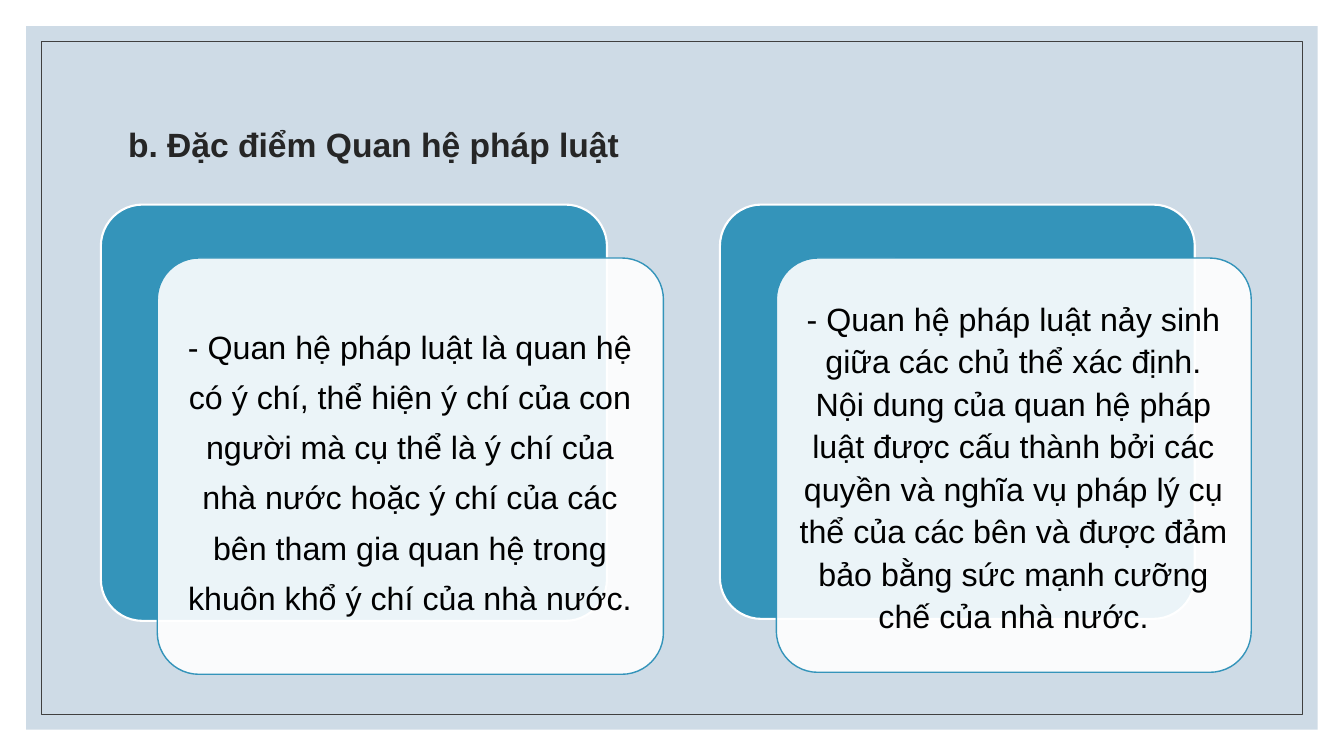
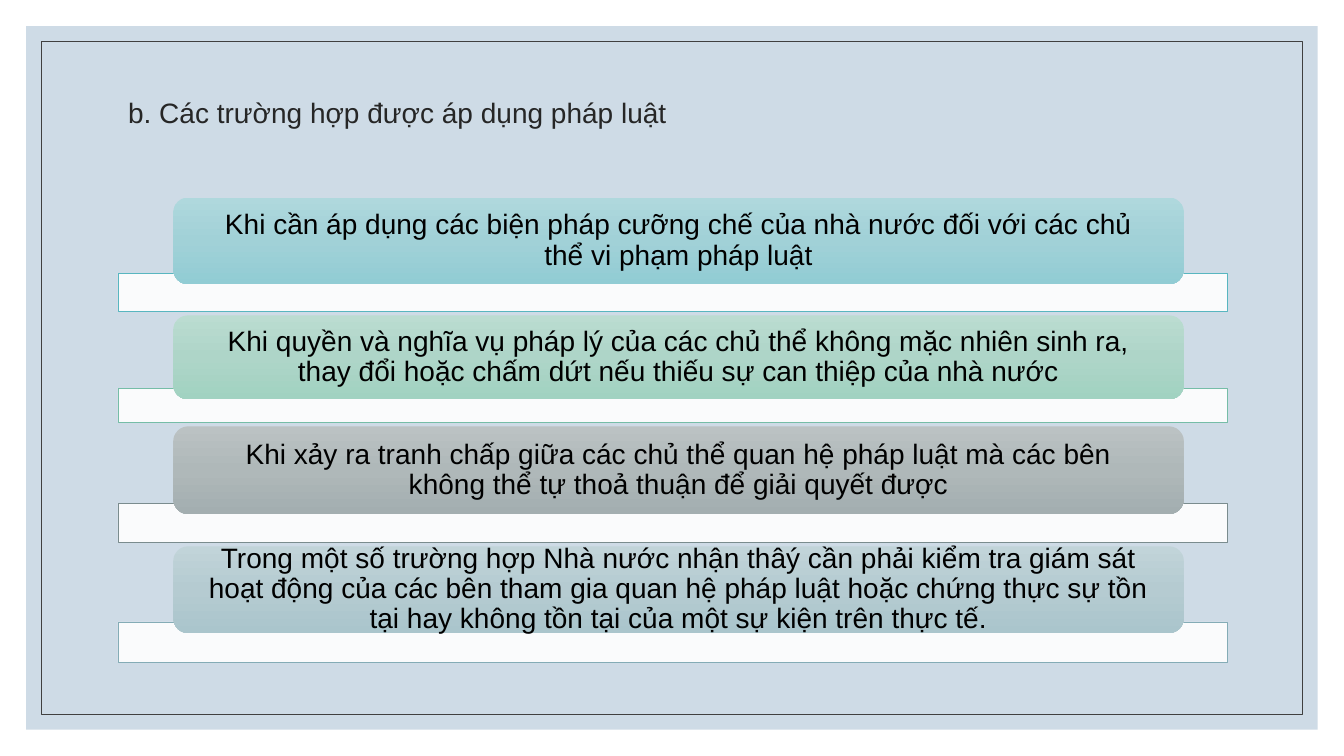
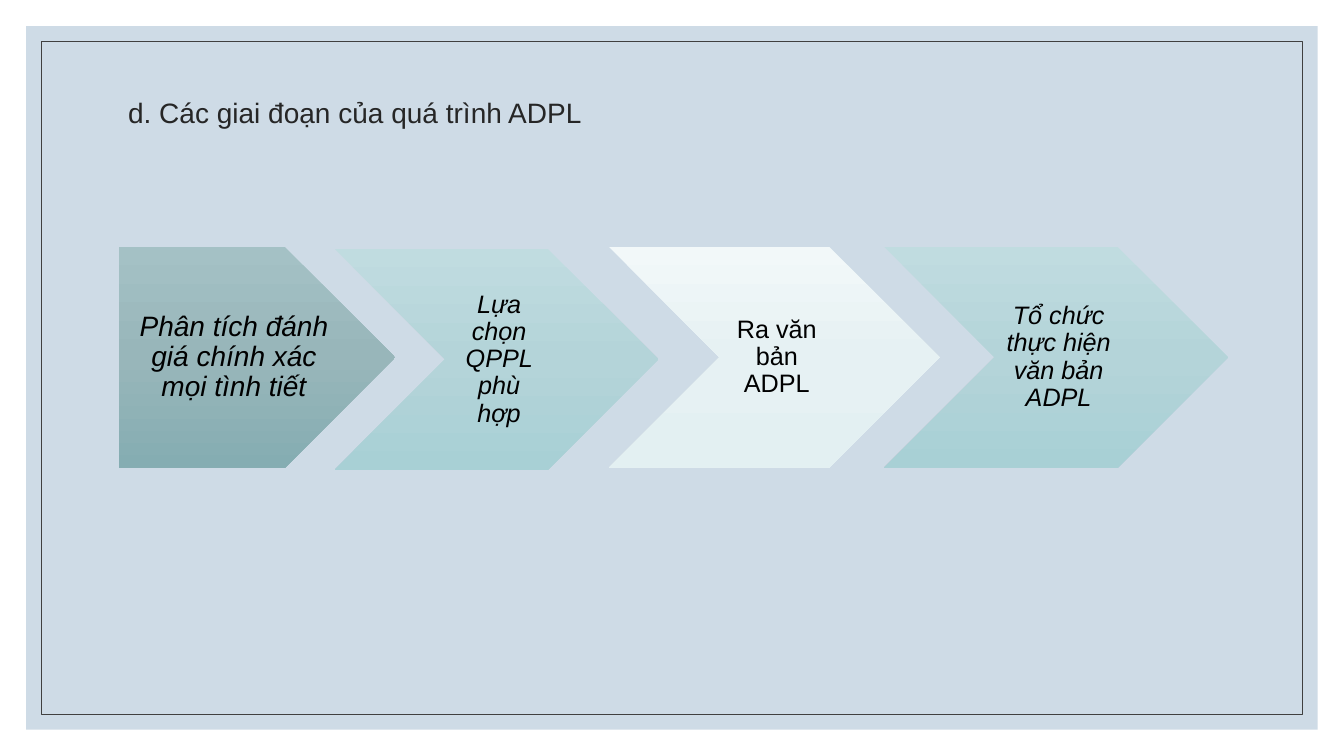
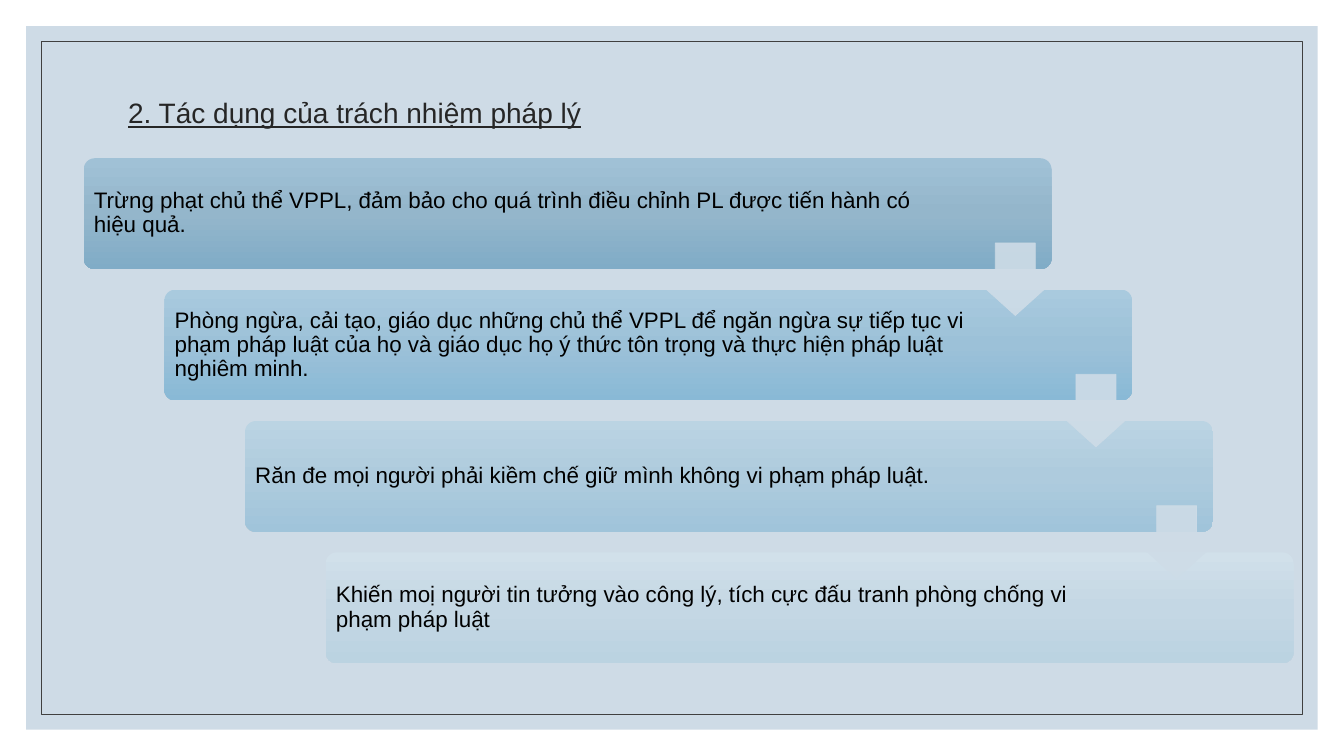
from copy import deepcopy
from dataclasses import dataclass

from lxml import etree
from pptx import Presentation
from pptx import util as u
from pptx.dml.color import RGBColor
from pptx.enum import shapes, text
from pptx.oxml.ns import qn

KIND = shapes.MSO_SHAPE
ALIGN = text.PP_ALIGN


@dataclass(frozen=True)
class Theme:
    font: str = "Arial"
    panel: str = "CEDBE6"
    frame: str = "404040"
    heading: str = "262626"
    ink: str = "000000"
    white: str = "FFFFFF"
    accent: str = "3494BA"
    arrow: str = "CEDCE7"
    opacity: int = 90
    heading_large: int = 24
    heading_size: int = 20
    card_size: int = 23
    label_size: int = 20
    step_size: int = 18
    stair_size: int = 16


THEME = Theme()


@dataclass(frozen=True)
class Box:
    """An area on a grid whose columns and rows are one inch."""
    left: float
    top: float
    width: float
    height: float

    def area(self, left, top, width, height):
        return Box(self.left + left, self.top + top, width, height)

    def inset(self, gap):
        return self.area(gap, gap, self.width - 2 * gap, self.height - 2 * gap)

    def lengths(self):
        return [u.Inches(n) for n in (self.left, self.top, self.width, self.height)]


SLIDE = Box(0, 0, 13.33, 7.5)
PANEL = SLIDE.inset(0.26)
TITLE = Box(1.17, 0.7, 11, 0.88)


def make_translucent(element):
    for color in element.iter(qn("a:srgbClr")):
        alpha = etree.SubElement(color, qn("a:alpha"))
        alpha.set("val", str(THEME.opacity * 1000))


def fill_gradient(shape, colors):
    """Fill from top to bottom with three evenly spaced colours."""
    shape.fill.gradient()
    shape.fill.gradient_angle = 270
    stop_list = shape.element.spPr.find(".//" + qn("a:gsLst"))
    stop_list.insert(1, deepcopy(stop_list[0]))
    for index, (stop, color) in enumerate(zip(shape.fill.gradient_stops, colors)):
        stop.position = index / 2
        stop.color.rgb = RGBColor.from_string(color)


def draw(page, kind, box, fill=None, line=None, width=0.5, adjust=(), translucent=False):
    """Add a preset shape; fill is a colour, three gradient colours or None."""
    shape = page.shapes.add_shape(kind, *box.lengths())
    shape.shadow.inherit = False
    for index, value in enumerate(adjust):
        shape.adjustments[index] = value
    if fill is None:
        shape.fill.background()
    elif isinstance(fill, str):
        shape.fill.solid()
        shape.fill.fore_color.rgb = RGBColor.from_string(fill)
    else:
        fill_gradient(shape, fill)
    if translucent:
        make_translucent(shape.element.spPr)
    if line:
        shape.line.color.rgb = RGBColor.from_string(line)
        shape.line.width = u.Pt(width)
    else:
        shape.line.fill.background()
    return shape


def write(shape, words, size, color=THEME.ink, align=ALIGN.CENTER, spacing=0.9,
          margins=None, **emphasis):
    """Set one paragraph; margins are left, top, right, bottom."""
    frame = shape.text_frame
    frame.text = words
    frame.word_wrap = True
    frame.auto_size = text.MSO_AUTO_SIZE.NONE
    frame.vertical_anchor = text.MSO_ANCHOR.MIDDLE
    if margins:
        (frame.margin_left, frame.margin_top,
         frame.margin_right, frame.margin_bottom) = map(u.Inches, margins)
    para = frame.paragraphs[0]
    para.alignment = align
    para.line_spacing = spacing
    para.font.name = THEME.font
    para.font.size = u.Pt(size)
    para.font.color.rgb = RGBColor.from_string(color)
    for name, value in emphasis.items():
        setattr(para.font, name, value)


def add_master_frame(deck, page):
    """Draw the panel and its thin frame, then move both to the master."""
    panel = draw(page, KIND.RECTANGLE, PANEL, fill=THEME.panel)
    frame = draw(page, KIND.RECTANGLE, PANEL.inset(0.15), line=THEME.frame)
    tree = deck.slide_master.shapes.element
    for index, shape in enumerate((panel, frame)):
        shape.element.nvSpPr.cNvPr.set("id", str(100 + index))
        tree.insert(2 + index, shape.element)


def add_page(deck, heading, box=TITLE, size=THEME.heading_size, **emphasis):
    page = deck.slides.add_slide(deck.slide_layouts.get_by_name("Title Only"))
    title = page.shapes.title
    title.left, title.top, title.width, title.height = box.lengths()
    write(title, heading, size, THEME.heading, ALIGN.LEFT, **emphasis)
    return page


def add_card(page, box, words, spacing):
    """A white card set over a blue one, down and to the right."""
    shift_x, shift_y = 0.56, 0.53
    width, height = box.width - shift_x, box.height - shift_y
    draw(page, KIND.ROUNDED_RECTANGLE, box.area(0, 0, width, height),
         THEME.accent, THEME.white, 1.5, [0.1])
    front = draw(page, KIND.ROUNDED_RECTANGLE, box.area(shift_x, shift_y, width, height),
                 THEME.white, THEME.accent, 1, [0.1], translucent=True)
    write(front, words, THEME.card_size, spacing=spacing, margins=[0.1] * 4)


def add_label_list(page, box, items):
    """Stack labels, each overlapping the top of a thin bar."""
    overlap, gap, indent = 0.11, 0.04, 0.55
    top = 0
    for words, label_height, bar_height, line, colors in items:
        bar_top = top + label_height - overlap
        draw(page, KIND.RECTANGLE, box.area(0, bar_top, box.width, bar_height),
             THEME.white, line, translucent=True)
        label = draw(page, KIND.ROUNDED_RECTANGLE,
                     box.area(indent, top, 10.02, label_height), colors)
        write(label, words, THEME.label_size, margins=(0.29, 0, 0.29, 0))
        top = bar_top + bar_height + gap


def add_process(page, box, steps):
    """A row of arrows; the first one has a flat tail and larger text."""
    for index, (words, left, top, width, colors, italic) in enumerate(steps):
        first = index == 0
        step = draw(page, KIND.PENTAGON if first else KIND.CHEVRON,
                    box.area(left, top, width, box.height), colors)
        write(step, words, THEME.label_size if first else THEME.step_size,
              margins=(0.12, 0.06, 0.03, 0.06) if first else (0.08, 0.05, 0.03, 0.05),
              italic=italic)


def add_staircase(page, box, items):
    """Descending steps joined by down arrows at their right ends."""
    width, height, arrow_size = 9.6, 1.1, 0.72
    shift_x = (box.width - width) / (len(items) - 1)
    shift_y = (box.height - height) / (len(items) - 1)
    steps = [box.area(shift_x * n, shift_y * n, width, height) for n in range(len(items))]
    for step, (words, right_margin, colors) in zip(steps, items):
        shape = draw(page, KIND.ROUNDED_RECTANGLE, step, colors, adjust=[0.1])
        write(shape, words, THEME.stair_size, align=ALIGN.LEFT,
              margins=(0.07, 0.07, right_margin, 0.07))
    for step in steps[:-1]:
        arrow = draw(page, KIND.DOWN_ARROW,
                     step.area(width - arrow_size, 0.84, arrow_size, arrow_size),
                     THEME.arrow, THEME.arrow, adjust=[0.55, 0.45], translucent=True)
        make_translucent(arrow.element.spPr.find(qn("a:ln")))


CARDS = [
    (Box(1, 2.03, 5.58, 4.66), "- Quan hệ pháp luật là quan hệ có ý chí, thể hiện ý chí của con người mà cụ thể là ý chí của nhà nước hoặc ý chí của các bên tham gia quan hệ trong khuôn khổ ý chí của nhà nước.", 1.3),
    (Box(7.14, 2.03, 5.27, 4.64), "- Quan hệ pháp luật nảy sinh giữa các chủ thể xác định. Nội dung của quan hệ pháp luật được cấu thành bởi các quyền và nghĩa vụ pháp lý cụ thể của các bên và được đảm bảo bằng sức mạnh cưỡng chế của nhà nước.", 1.1),
]

CASES = [
    ("Khi cần áp dụng các biện pháp cưỡng chế của nhà nước đối với các chủ thể vi phạm pháp luật",
     0.86, 0.38, "58B6C0", ("AFD8DD", "A1D1D7", "91CCD4")),
    ("Khi quyền và nghĩa vụ pháp lý của các chủ thể không mặc nhiên sinh ra, thay đổi hoặc chấm dứt nếu thiếu sự can thiệp của nhà nước",
     0.83, 0.34, "75BDA7", ("BBDCD1", "AED5C8", "A1D2C1")),
    ("Khi xảy ra tranh chấp giữa các chủ thể quan hệ pháp luật mà các bên không thể tự thoả thuận để giải quyết được",
     0.87, 0.39, "7A8C8E", ("BBC2C3", "AFB8B9", "A3AEB0")),
    ("Trong một số trường hợp Nhà nước nhận thâý cần phải kiểm tra giám sát hoạt động của các bên tham gia quan hệ pháp luật hoặc chứng thực sự tồn tại hay không tồn tại của một sự kiện trên thực tế.",
     0.86, 0.4, "84ACB6", ("C1D4D9", "B5CBD1", "AAC5CC")),
]

TEAL = ("C0DCE0", "B4D4D9", "A8D0D5")
STAGES = [
    ("Phân tích đánh giá chính xác mọi tình tiết", 0, 0, 2.74, ("A4C1C5", "98B6BA", "85ADB2"), True),
    ("Lựa chọn QPPL phù hợp", 2.14, 0.02, 3.21, TEAL, True),
    ("Ra văn bản ADPL", 4.86, 0, 3.28, ("F2F8F9", "E6F1F3", "E3F0F2"), None),
    ("Tổ chức thực hiện văn bản ADPL", 7.59, 0, 3.41, TEAL, True),
]

EFFECTS = [
    ("Trừng phạt chủ thể VPPL, đảm bảo cho quá trình điều chỉnh PL được tiến hành có hiệu quả.",
     1.29, ("A0C1D6", "94B6CB", "80ACC7")),
    ("Phòng ngừa, cải tạo, giáo dục những chủ thể VPPL để ngăn ngừa sự tiếp tục vi phạm pháp luật của họ và giáo dục họ ý thức tôn trọng và thực hiện pháp luật nghiêm minh.",
     1.6, ("A9CADE", "9CC1D8", "89B9D6")),
    ("Răn đe mọi người phải kiềm chế giữ mình không vi phạm pháp luật.",
     1.58, ("BBD4E3", "AECBDD", "A0C4DA")),
    ("Khiến moị người tin tưởng vào công lý, tích cực đấu tranh phòng chống vi phạm pháp luật",
     1.6, ("D1E0EA", "C4D7E4", "BBD3E1")),
]


def main():
    deck = Presentation()
    deck.slide_width, deck.slide_height = SLIDE.lengths()[2:]

    page = add_page(deck, "b. Đặc điểm Quan hệ pháp luật", Box(1.17, 0.7, 11, 1.5),
                    THEME.heading_large, bold=True)
    add_master_frame(deck, page)
    for box, words, spacing in CARDS:
        add_card(page, box, words, spacing)

    page = add_page(deck, "b. Các trường hợp được áp dụng pháp luật")
    add_label_list(page, Box(1.17, 1.96, 11, 4.6), CASES)

    page = add_page(deck, "d. Các giai đoạn của quá trình ADPL")
    add_process(page, Box(1.18, 2.45, 11, 2.19), STAGES)

    page = add_page(deck, "2. Tác dụng của trách nhiệm pháp lý", underline=True)
    add_staircase(page, Box(0.83, 1.57, 12, 5.01), EFFECTS)

    deck.save("out.pptx")


if __name__ == "__main__":
    main()
